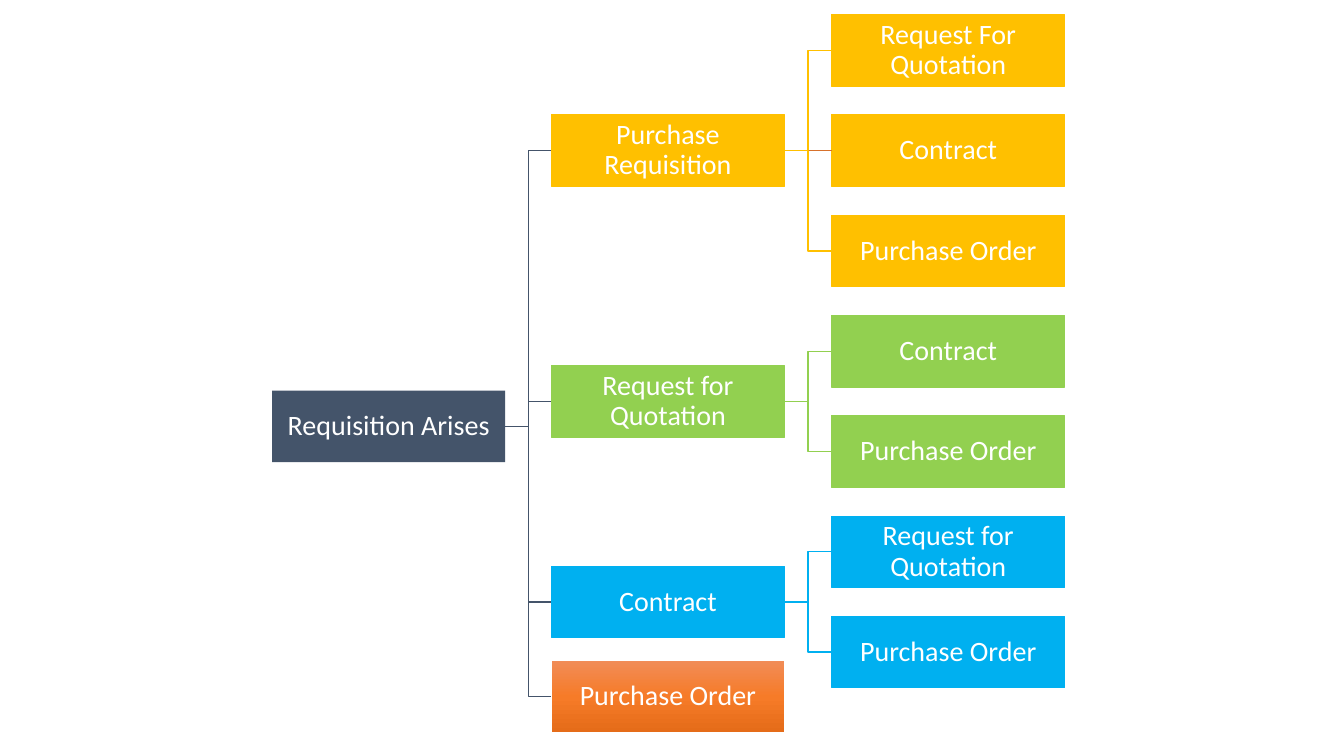
from copy import deepcopy
from dataclasses import dataclass

from pptx import Presentation, util as u
from pptx.dml.color import RGBColor
from pptx.enum import shapes, text
from pptx.oxml.ns import qn
from pptx.oxml.xmlchemy import OxmlElement


@dataclass(frozen=True)
class Theme:
    font: str = "Calibri"
    size: float = 20
    line: float = 1
    edge: float = 0.75
    ink: str = "FFFFFF"
    root: str = "44546A"
    amber: str = "FFC000"
    green: str = "92D050"
    blue: str = "00B0F0"
    rust: str = "D7712C"
    sunset: tuple = ((0, "F18C57"), (0.5, "F67B28"), (1, "E56C19"))


THEME = Theme()
BOX_WIDTH, BOX_HEIGHT = 2.31, 0.71
COLUMNS = (2.7, 5.47, 8.25)
FIRST_ROW, ROW_PITCH = 0.5, 0.995
ROOT_CENTRE, LAST_CENTRE = 4.23, 6.91

BRANCHES = (
    ("Purchase Requisition", THEME.amber,
     ("Request For Quotation", "Contract", "Purchase Order")),
    ("Request for Quotation", THEME.green, ("Contract", "Purchase Order")),
    ("Contract", THEME.blue, ("Request for Quotation", "Purchase Order")),
)


def rgb(colour):
    return RGBColor.from_string(colour)


def fill_gradient(box, stops):
    """Fill the box from top to bottom with any number of colour stops."""
    box.fill.gradient()
    box.fill.gradient_angle = 270
    stop_list = box._element.spPr.find(qn("a:gradFill")).find(qn("a:gsLst"))
    while len(stop_list) < len(stops):
        stop_list.append(deepcopy(stop_list[-1]))
    for stop, (position, colour) in zip(box.fill.gradient_stops, stops):
        stop.position = position
        stop.color.rgb = rgb(colour)


def add_box(page, label, column, centre, fill, outlined=True):
    box = page.shapes.add_shape(
        shapes.MSO_SHAPE.RECTANGLE, u.Inches(COLUMNS[column]),
        u.Inches(centre - BOX_HEIGHT / 2), u.Inches(BOX_WIDTH), u.Inches(BOX_HEIGHT))
    box.shadow.inherit = False
    if isinstance(fill, str):
        box.fill.solid()
        box.fill.fore_color.rgb = rgb(fill)
    else:
        fill_gradient(box, fill)
    if outlined:
        box.line.color.rgb = rgb(fill)
        box.line.width = u.Pt(THEME.edge)
    else:
        box.line.fill.background()

    frame = box.text_frame
    frame.text = label
    frame.word_wrap = True
    frame.vertical_anchor = text.MSO_ANCHOR.MIDDLE
    frame.margin_left = frame.margin_right = u.Inches(0.01)
    frame.margin_top = frame.margin_bottom = u.Inches(0.01)
    para = frame.paragraphs[0]
    para.alignment = text.PP_ALIGN.CENTER
    para.line_spacing = 0.9
    font = para.runs[0].font
    font.name, font.size = THEME.font, u.Pt(THEME.size)
    font.color.rgb = rgb(THEME.ink)
    return box


def join(page, parent, child, colour, kind=shapes.MSO_CONNECTOR.ELBOW):
    link = page.shapes.add_connector(kind, 0, 0, 0, 0)
    link.begin_connect(parent, 3)
    link.end_connect(child, 1)
    link.line.color.rgb = rgb(colour)
    link.line.width = u.Pt(THEME.line)
    link._element.spPr.append(OxmlElement("a:effectLst"))


def add_branch(page, root, branch, first_row):
    """Draw a branch level with the middle of its leaves."""
    label, colour, leaves = branch
    centres = [FIRST_ROW + ROW_PITCH * (first_row + i) for i in range(len(leaves))]
    middle = (centres[0] + centres[-1]) / 2
    parent = add_box(page, label, 1, middle, colour)
    join(page, root, parent, THEME.root)
    for leaf, centre in zip(leaves, centres):
        child = add_box(page, leaf, 2, centre, colour)
        if centre == middle:
            join(page, parent, child, THEME.rust, shapes.MSO_CONNECTOR.STRAIGHT)
        else:
            join(page, parent, child, colour)


def add_requisition_tree(page):
    root = add_box(page, "Requisition Arises", 0, ROOT_CENTRE, THEME.root, outlined=False)
    row = 0
    for branch in BRANCHES:
        add_branch(page, root, branch, row)
        row += len(branch[2])
    order = add_box(page, "Purchase Order", 1, LAST_CENTRE, THEME.sunset, outlined=False)
    join(page, root, order, THEME.root)


def main():
    deck = Presentation()
    deck.slide_width, deck.slide_height = u.Inches(13.33), u.Inches(7.5)
    page = deck.slides.add_slide(deck.slide_layouts[6])
    add_requisition_tree(page)
    deck.save("out.pptx")


if __name__ == "__main__":
    main()
